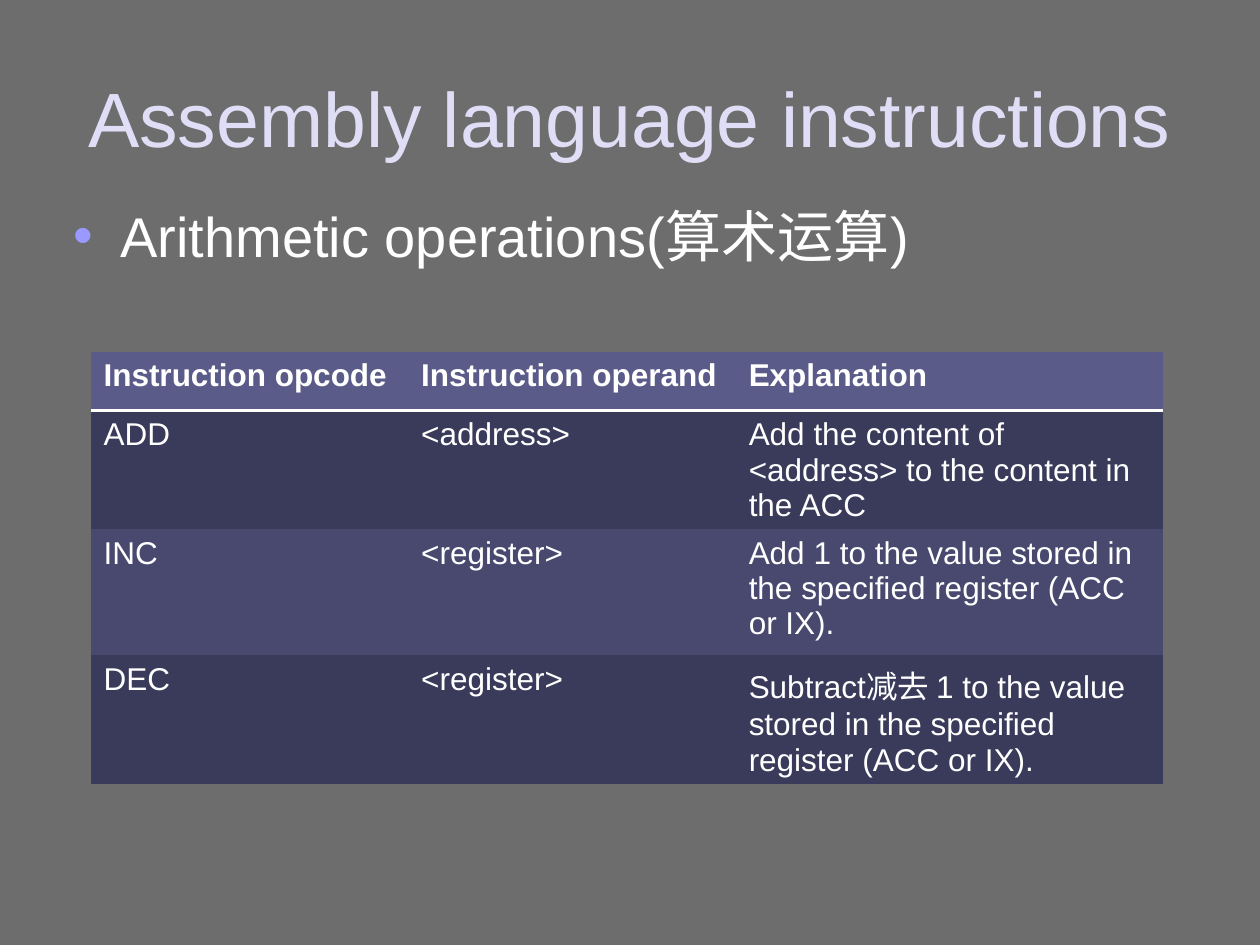
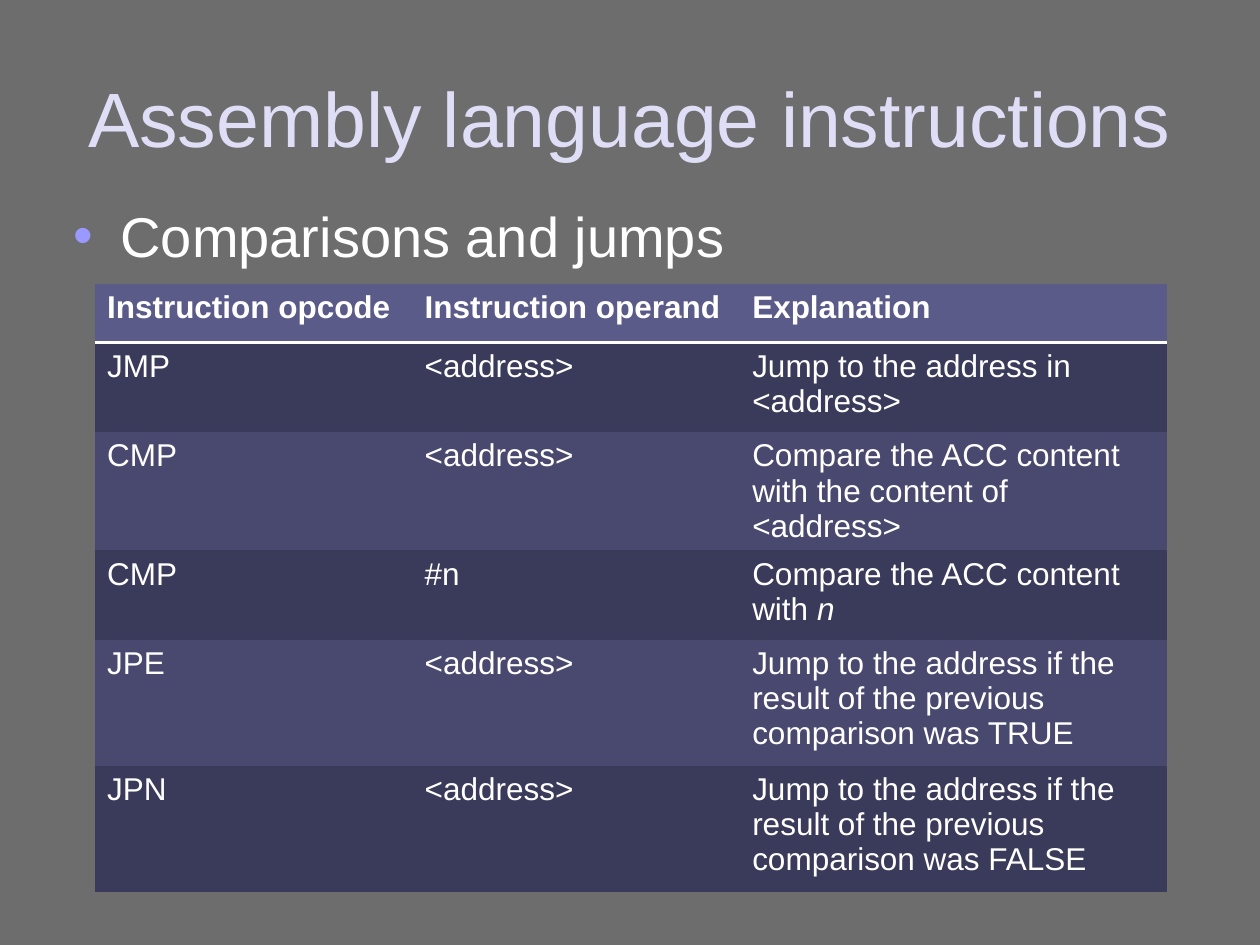
"""Build two slides on assembly language instructions, each with a topic and an instruction table."""
from pptx import Presentation
from pptx import util as u
from pptx.dml.color import RGBColor
from pptx.oxml import parse_xml
from pptx.oxml.ns import nsdecls, qn

TITLE = "Assembly language instructions"
HEADINGS = ("Instruction opcode", "Instruction operand", "Explanation")
TOPICS = [
    {
        "topic": "Arithmetic operations(算术运算)",
        "corner": (52, 201),
        "row_heights": (33.8, 51, 72, 72),
        "instructions": [
            ("ADD", "<address>", "Add the content of <address> to the content in the ACC"),
            ("INC", "<register>", "Add 1 to the value stored in the specified register (ACC or IX)."),
            ("DEC", "<register>", "Subtract减去 1 to the value stored in the specified register (ACC or IX)."),
        ],
    },
    {
        "topic": "Comparisons and jumps",
        "corner": (54, 162),
        "row_heights": (33.8, 51, 51, 51, 72, 72),
        "instructions": [
            ("JMP", "<address>", "Jump to the address in <address>"),
            ("CMP", "<address>", "Compare the ACC content with the content of <address>"),
            ("CMP", "#n", ("Compare the ACC content with ", "n")),
            ("JPE", "<address>", "Jump to the address if the result of the previous comparison was TRUE"),
            ("JPN", "<address>", "Jump to the address if the result of the previous comparison was FALSE"),
        ],
    },
]
THEME = {
    "font": "Arial",
    "background": "6D6D6D",
    "bullet": "9999FF",
    "rule": "FFFFFF",
    "header": "5B5B89",
    "bands": ("3A3A5A", "494970"),
    "title": {"size": u.Pt(44), "color": "DFDEF6"},
    "topic": {"size": u.Pt(32), "color": "FFFFFF"},
    "cell": {"size": u.Pt(18), "color": "FFFFFF"},
}
TITLE_BOX = (36, 21.6, 648, 90)
TOPIC_BOX = (34.6, 111.6, 648, 357)
COLUMN_WIDTHS = (181.5, 187.2, 244)
PLAIN_TABLE = "{2D5ABB26-0587-4C30-8999-92F81FD0307C}"


def set_values(target, values):
    for name, value in values.items():
        setattr(target, name, value)


def place(holder, box):
    set_values(holder, dict(zip(("left", "top", "width", "height"), map(u.Pt, box))))


def write(paragraph, wording, role, **extra):
    """Write a string, or a plain part followed by an italic part."""
    parts = (wording,) if isinstance(wording, str) else wording
    for position, part in enumerate(parts):
        run = paragraph.add_run()
        run.text = part
        look = {"name": THEME["font"], "size": THEME[role]["size"], **extra}
        if position:
            look["italic"] = True
        set_values(run.font, look)
        run.font.color.rgb = RGBColor.from_string(THEME[role]["color"])


def paint(fill, color):
    fill.solid()
    fill.fore_color.rgb = RGBColor.from_string(color)


def solid_xml(tag, color, attributes=""):
    """Return an element holding a colour, inside a solid fill when it is a line."""
    swatch = f'<a:srgbClr val="{color}"/>'
    inner = f"<a:solidFill>{swatch}</a:solidFill>" if tag.startswith("ln") else swatch
    return parse_xml(f'<a:{tag} {nsdecls("a")} {attributes}>{inner}</a:{tag}>')


def add_instructions(slide, corner, row_heights, instructions):
    rows = [HEADINGS, *instructions]
    size = (sum(COLUMN_WIDTHS), sum(row_heights))
    table = slide.shapes.add_table(len(rows), len(HEADINGS), *map(u.Pt, corner + size)).table
    table.horz_banding = False
    table._tbl.tblPr.find(qn("a:tableStyleId")).text = PLAIN_TABLE
    for column, width in zip(table.columns, COLUMN_WIDTHS):
        column.width = u.Pt(width)
    for r, (wordings, height) in enumerate(zip(rows, row_heights)):
        table.rows[r].height = u.Pt(height)
        is_header = r == 0
        color = THEME["header"] if is_header else THEME["bands"][(r - 1) % 2]
        for c, wording in enumerate(wordings):
            cell = table.cell(r, c)
            paint(cell.fill, color)
            write(cell.text_frame.paragraphs[0], wording, "cell", bold=is_header)
            if is_header:
                rule = solid_xml("lnB", THEME["rule"], f'w="{u.Pt(2)}"')
                cell._tc.get_or_add_tcPr().insert(0, rule)


def main():
    deck = Presentation()
    set_values(deck, {"slide_width": u.Pt(720), "slide_height": u.Pt(540)})
    paint(deck.slide_master.background.fill, THEME["background"])
    layout = deck.slide_layouts[1]
    for holder, box in zip(layout.placeholders, (TITLE_BOX, TOPIC_BOX)):
        place(holder, box)
    for content in TOPICS:
        slide = deck.slides.add_slide(layout)
        write(slide.shapes.title.text_frame.paragraphs[0], TITLE, "title")
        topic = slide.placeholders[1].text_frame.paragraphs[0]
        write(topic, content["topic"], "topic")
        topic._p.get_or_add_pPr().append(solid_xml("buClr", THEME["bullet"]))
        add_instructions(slide, content["corner"], content["row_heights"], content["instructions"])
    deck.save("out.pptx")


if __name__ == "__main__":
    main()
